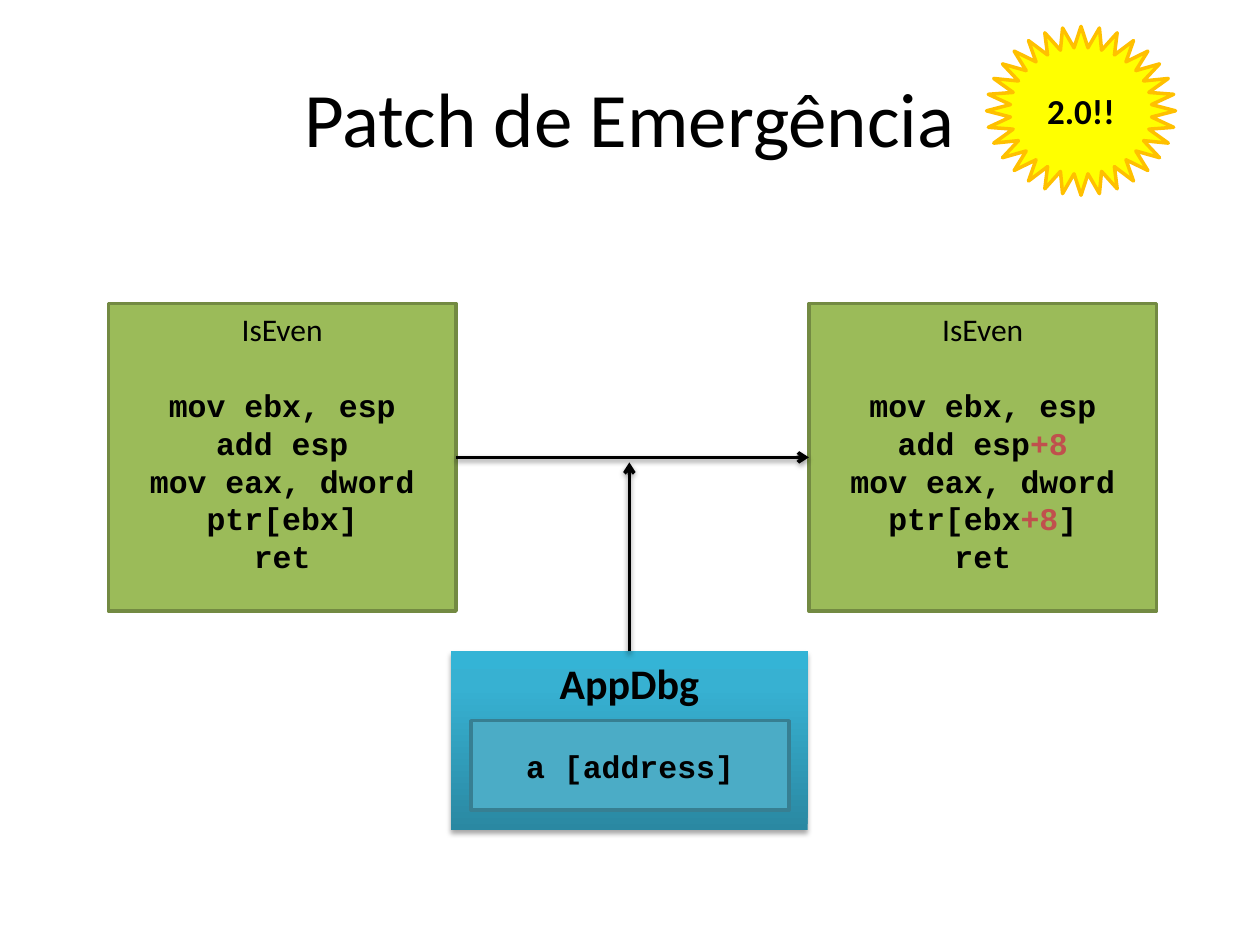
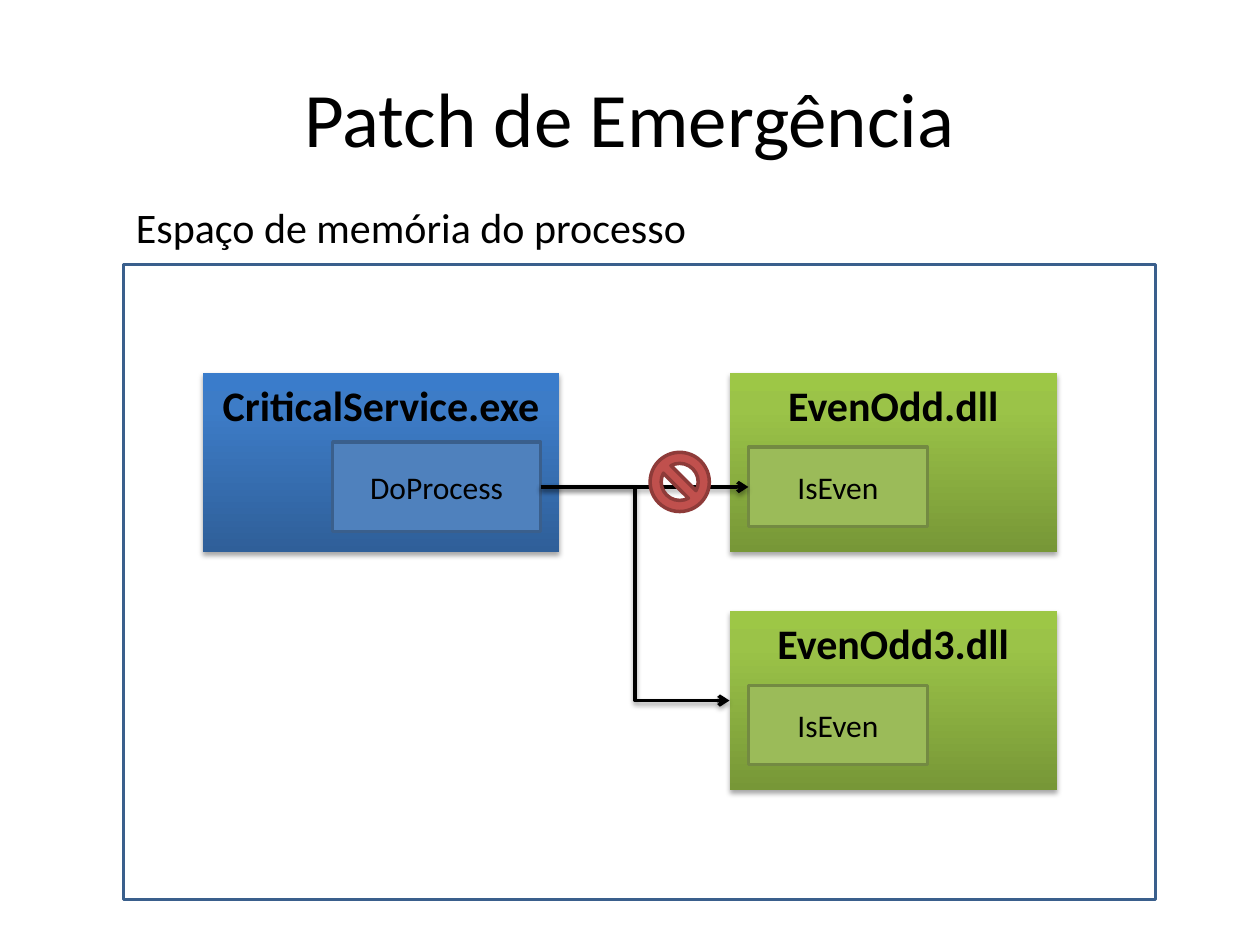
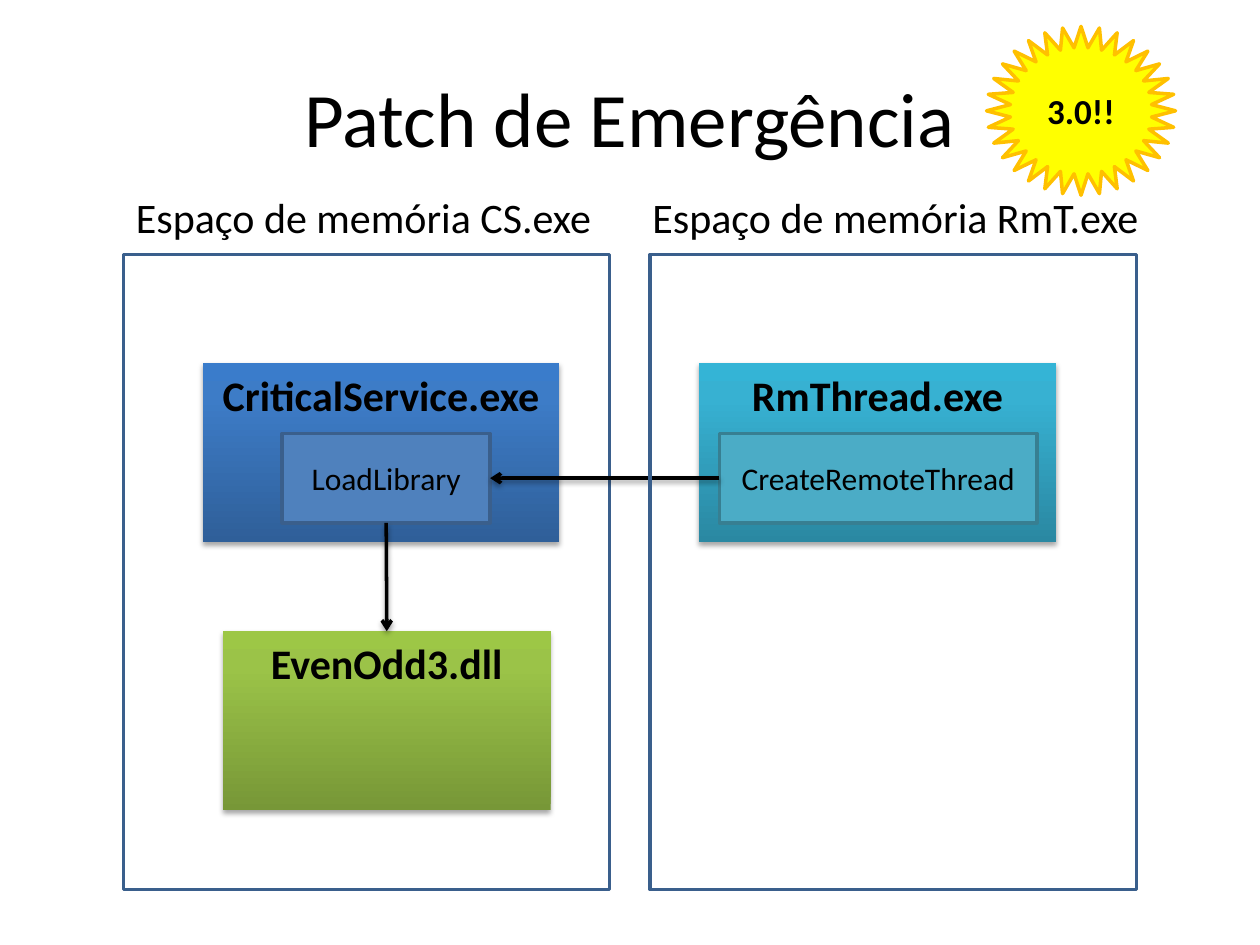
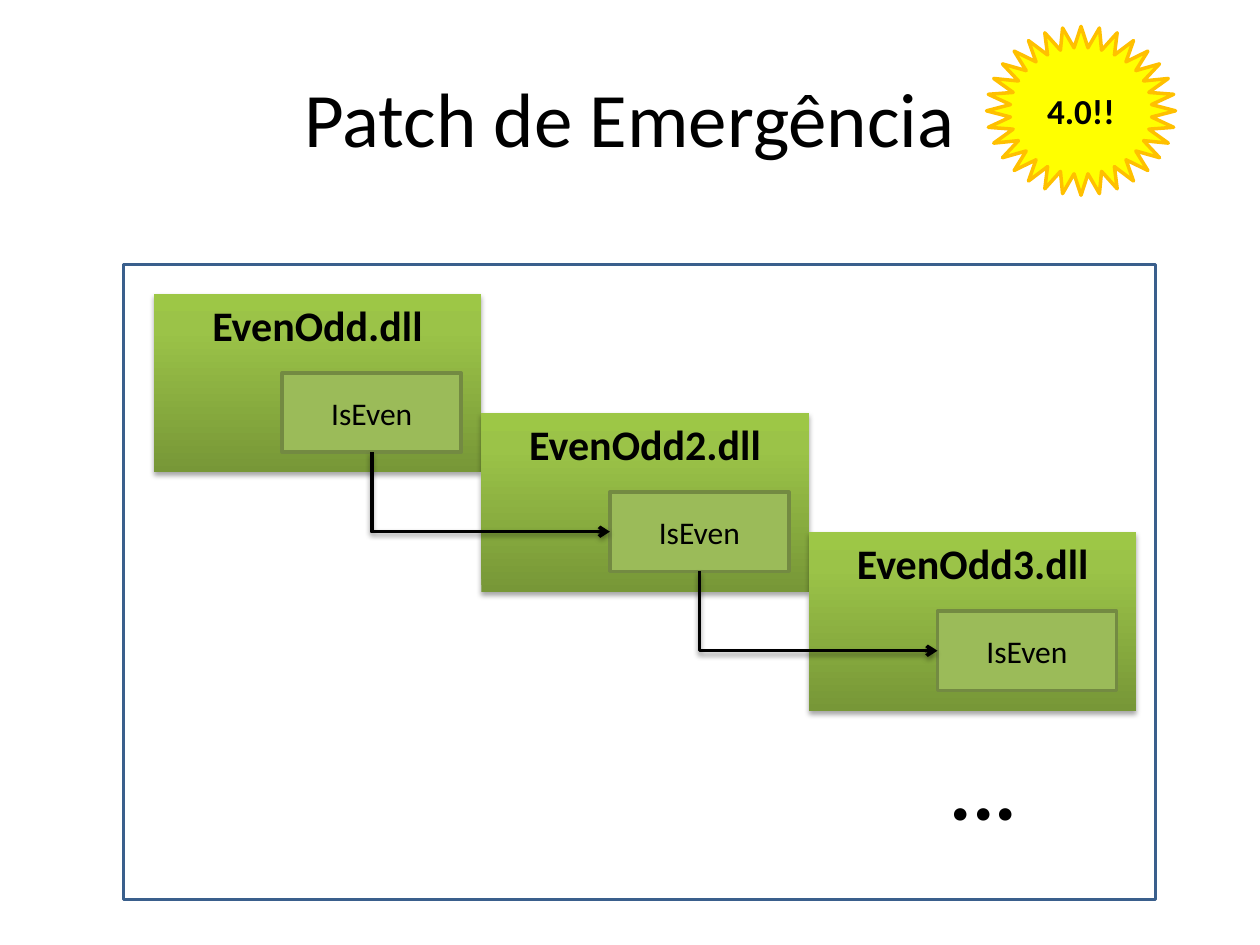
from collections import namedtuple

from lxml.etree import SubElement
from pptx import Presentation
from pptx.dml.color import RGBColor
from pptx.enum.shapes import MSO_CONNECTOR, MSO_SHAPE
from pptx.enum.text import MSO_ANCHOR, MSO_AUTO_SIZE, PP_ALIGN
from pptx.oxml.ns import qn
from pptx.util import Inches, Pt

BODY_FONT = "Calibri"
CODE_FONT = "Courier New"
BLACK = "000000"
RED = "C0504D"
FRAME_LINE = "3A5F8C"

Palette = namedtuple("Palette", "fill line stops")
BLUE = Palette("4F81BD", FRAME_LINE, ("2F5F99", "3D7CC7", "3A7CCB"))
GREEN = Palette("9BBB59", "738A42", ("779737", "9BC348", "9DC746"))
TEAL = Palette("4BACC6", "377F92", ("2A88A2", "37B1D2", "34B4D6"))
STOP_POSITIONS = (0, 80000, 100000)


class Box(namedtuple("Box", "left top width height")):
    def inside(self, left, top, width, height):
        return Box(self.left + left, self.top + top, width, height)

    def point(self, across, down):
        return self.left + across * self.width, self.top + down * self.height

    def lengths(self):
        return [Inches(value) for value in self]


SLIDE_BOX = Box(0, 0, 10, 7.5)
TITLE_BOX = Box(0.5, 0.3, 9, 1.25)
BADGE_BOX = Box(7.83, 0.21, 1.5, 1.34)
WIDE_FRAME = Box(0.98, 2.1, 8.19, 5.04)
EXE_SIZE = (2.83, 1.42)
DLL_SIZE = (2.6, 1.42)
IS_EVEN_SIZE = (1.42, 0.63)
EXE_FUNCTION_SIZE = (1.65, 0.71)
TOOL_FUNCTION_SIZE = (2.52, 0.71)


def color(value):
    return RGBColor.from_string(value)


def add_run(paragraph, text, size, bold=False, font=BODY_FONT, tint=BLACK):
    run = paragraph.add_run()
    run.text = text
    run.font.size = Pt(size)
    run.font.bold = bold
    run.font.name = font
    run.font.color.rgb = color(tint)


def add_shadow(effects, opacity, distance):
    shadow = SubElement(effects, qn("a:outerShdw"), blurRad=str(Pt(3.1)), dist=str(Pt(distance)),
                        dir="5400000", rotWithShape="0")
    tint = SubElement(shadow, qn("a:srgbClr"), val=BLACK)
    SubElement(tint, qn("a:alpha"), val=str(opacity * 1000))


def add_block(slide, box, fill=None, line=None, kind=MSO_SHAPE.RECTANGLE):
    shape = slide.shapes.add_shape(kind, *box.lengths())
    shape.shadow.inherit = False
    if fill:
        shape.fill.solid()
        shape.fill.fore_color.rgb = color(fill)
    else:
        shape.fill.background()
    if line:
        shape.line.color.rgb = color(line)
        shape.line.width = Pt(2)
    else:
        shape.line.fill.background()
    return shape


def write_label(shape, text, size, bold=False, font=BODY_FONT, anchor=MSO_ANCHOR.MIDDLE):
    frame = shape.text_frame
    frame.word_wrap = True
    frame.vertical_anchor = anchor
    paragraph = frame.paragraphs[0]
    paragraph.alignment = PP_ALIGN.CENTER
    add_run(paragraph, text, size, bold, font)


def add_module(slide, box, name, palette):
    shape = add_block(slide, box)
    shape.fill.gradient()
    shape.fill.gradient_angle = 90
    stops = shape._element.spPr.find(qn("a:gradFill")).find(qn("a:gsLst"))
    for stop in list(stops):
        stops.remove(stop)
    for position, tint in zip(STOP_POSITIONS, palette.stops):
        stop = SubElement(stops, qn("a:gs"), pos=str(position))
        SubElement(stop, qn("a:srgbClr"), val=tint)
    add_shadow(shape._element.spPr.find(qn("a:effectLst")), 35, 1.8)
    write_label(shape, name, 24, bold=True, anchor=MSO_ANCHOR.TOP)


def add_function(slide, box, name, palette, bold=False, font=BODY_FONT):
    shape = add_block(slide, box, palette.fill, palette.line)
    write_label(shape, name, 18, bold, font)
    return box


def add_dll(slide, left, top, name, function_left=None, function_top=0.59):
    box = Box(left, top, *DLL_SIZE)
    add_module(slide, box, name, GREEN)
    if function_left is None:
        return box
    return add_function(slide, box.inside(function_left, function_top, *IS_EVEN_SIZE), "IsEven", GREEN)


def add_text(slide, box, text, size, bold=False):
    frame = slide.shapes.add_textbox(*box.lengths()).text_frame
    frame.word_wrap = False
    frame.auto_size = MSO_AUTO_SIZE.SHAPE_TO_FIT_TEXT
    add_run(frame.paragraphs[0], text, size, bold)


def add_arrow(slide, start, end, kind=MSO_CONNECTOR.STRAIGHT):
    ends = [Inches(value) for value in (*start, *end)]
    connector = slide.shapes.add_connector(kind, *ends)
    connector.line.color.rgb = color(BLACK)
    connector.line.width = Pt(2)
    properties = connector._element.spPr
    SubElement(properties.find(qn("a:ln")), qn("a:tailEnd"), type="arrow")
    add_shadow(SubElement(properties, qn("a:effectLst")), 38, 1.6)
    return connector


def add_corner_arrow(slide, start, end):
    across, down = end[0] - start[0], end[1] - start[1]
    left = (start[0] + end[0] - down) / 2
    top = (start[1] + end[1] - across) / 2
    connector = add_arrow(slide, (left, top), (left + down, top + across), MSO_CONNECTOR.ELBOW)
    properties = connector._element.spPr
    properties.find(qn("a:prstGeom")).set("prst", "bentConnector2")
    transform = properties.find(qn("a:xfrm"))
    transform.set("rot", "16200000")
    transform.set("flipH", "1")


def add_title(slide, box):
    title = slide.shapes.add_textbox(*box.lengths())
    write_label(title, "Patch de Emergência", 44)


def add_badge(slide, box, version):
    badge = add_block(slide, box, "FFFF00", "FFC000", MSO_SHAPE.STAR_32_POINT)
    write_label(badge, version, 20, bold=True)


def add_listing(slide, box, code):
    shape = add_block(slide, box, GREEN.fill, GREEN.line)
    write_label(shape, "IsEven", 18, anchor=MSO_ANCHOR.TOP)
    for index, pieces in enumerate(code):
        paragraph = shape.text_frame.add_paragraph()
        paragraph.alignment = PP_ALIGN.CENTER
        if index == 0:
            paragraph.space_before = Pt(22)
        for piece in pieces:
            add_run(paragraph, piece, 18, True, CODE_FONT, RED if piece == "+8" else BLACK)


def add_memory_space(slide, box, caption, caption_box):
    add_block(slide, box, line=FRAME_LINE)
    add_text(slide, caption_box, caption, 24)


def draw_code_patch(slide, box):
    before = box.inside(0.86, 2.41, 2.76, 2.44)
    after = box.inside(6.42, 2.41, 2.76, 2.44)
    add_listing(slide, after, [["mov ebx, esp"], ["add esp", "+8"],
                               ["mov eax, dword ptr[ebx", "+8", "]"], ["ret"]])
    add_listing(slide, before, [["mov ebx, esp"], ["add esp"],
                                ["mov eax, dword ptr[ebx]"], ["ret"]])
    add_arrow(slide, before.point(1, 0.5), after.point(0, 0.5))
    debugger = box.inside(3.58, 5.17, *EXE_SIZE)
    add_module(slide, debugger, "AppDbg", TEAL)
    add_function(slide, debugger.inside(0.16, 0.55, *TOOL_FUNCTION_SIZE), "a [address]", TEAL,
                 True, CODE_FONT)
    top_center = debugger.point(0.5, 0)
    add_arrow(slide, top_center, (top_center[0], top_center[1] - 1.5))


def draw_redirected_call(slide, box):
    service = box.inside(0.63, 0.86, *EXE_SIZE)
    add_module(slide, service, "CriticalService.exe", BLUE)
    caller = add_function(slide, service.inside(1.03, 0.55, *EXE_FUNCTION_SIZE), "DoProcess", BLUE)
    dll_left = box.left + 4.81
    target = add_dll(slide, dll_left, service.top, "EvenOdd.dll", 0.15)
    start = caller.point(1, 0.5)
    add_arrow(slide, start, target.point(0, 0.5))
    add_memory_space(slide, box, "Espaço de memória do processo",
                     box.inside(0, -0.55, 4.61, 0.5))
    replacement_top = box.top + 2.75
    add_dll(slide, dll_left, replacement_top, "EvenOdd3.dll", 0.15)
    add_arrow(slide, start, (dll_left, replacement_top + DLL_SIZE[1] / 2), MSO_CONNECTOR.ELBOW)
    add_block(slide, box.inside(4.18, 1.49, 0.47, 0.47), RED, "8E3B39", MSO_SHAPE.NO_SYMBOL)


def draw_remote_thread(slide, box):
    local = box.inside(0, 0, 3.86, box.height)
    remote = box.inside(4.18, 0, 3.86, box.height)
    service = local.inside(0.63, 0.86, *EXE_SIZE)
    add_module(slide, service, "CriticalService.exe", BLUE)
    loader = add_function(slide, service.inside(0.63, 0.56, *EXE_FUNCTION_SIZE), "LoadLibrary", BLUE)
    add_memory_space(slide, local, "Espaço de memória CS.exe", local.inside(0, -0.55, 3.85, 0.5))
    library = add_dll(slide, local.left + 0.79, local.top + 2.99, "EvenOdd3.dll")
    injector = remote.inside(0.39, 0.86, *EXE_SIZE)
    add_module(slide, injector, "RmThread.exe", TEAL)
    creator = add_function(slide, injector.inside(0.16, 0.56, *TOOL_FUNCTION_SIZE),
                           "CreateRemoteThread", TEAL)
    add_arrow(slide, creator.point(0, 0.5), loader.point(1, 0.5))
    add_arrow(slide, loader.point(0.5, 1), library.point(0.5, 0))
    add_memory_space(slide, remote, "Espaço de memória RmT.exe", remote.inside(-0.08, -0.55, 4.1, 0.5))


def draw_patch_chain(slide, box):
    add_block(slide, box, line=FRAME_LINE)
    functions = []
    for step, name in enumerate(("EvenOdd.dll", "EvenOdd2.dll", "EvenOdd3.dll")):
        left = box.left + 0.24 + step * DLL_SIZE[0]
        top = box.top + 0.23 + step * 1.5 * IS_EVEN_SIZE[1]
        functions.append(add_dll(slide, left, top, name, 1.02, 0.63))
    for source, target in zip(functions, functions[1:]):
        add_corner_arrow(slide, source.point(0.5, 1), target.point(0, 0.5))
    add_text(slide, box.inside(6.46, 3.7, 0.74, 0.91), "...", 48, bold=True)


def main():
    presentation = Presentation()
    presentation.slide_width = Inches(SLIDE_BOX.width)
    presentation.slide_height = Inches(SLIDE_BOX.height)
    pages = [
        (draw_code_patch, SLIDE_BOX, "2.0!!"),
        (draw_redirected_call, WIDE_FRAME, None),
        (draw_remote_thread, Box(0.98, 2.02, 8.04, 5.04), "3.0!!"),
        (draw_patch_chain, WIDE_FRAME, "4.0!!"),
    ]
    for draw, box, version in pages:
        slide = presentation.slides.add_slide(presentation.slide_layouts[6])
        draw(slide, box)
        add_title(slide, TITLE_BOX)
        if version:
            add_badge(slide, BADGE_BOX, version)
    presentation.save("out.pptx")


if __name__ == "__main__":
    main()
